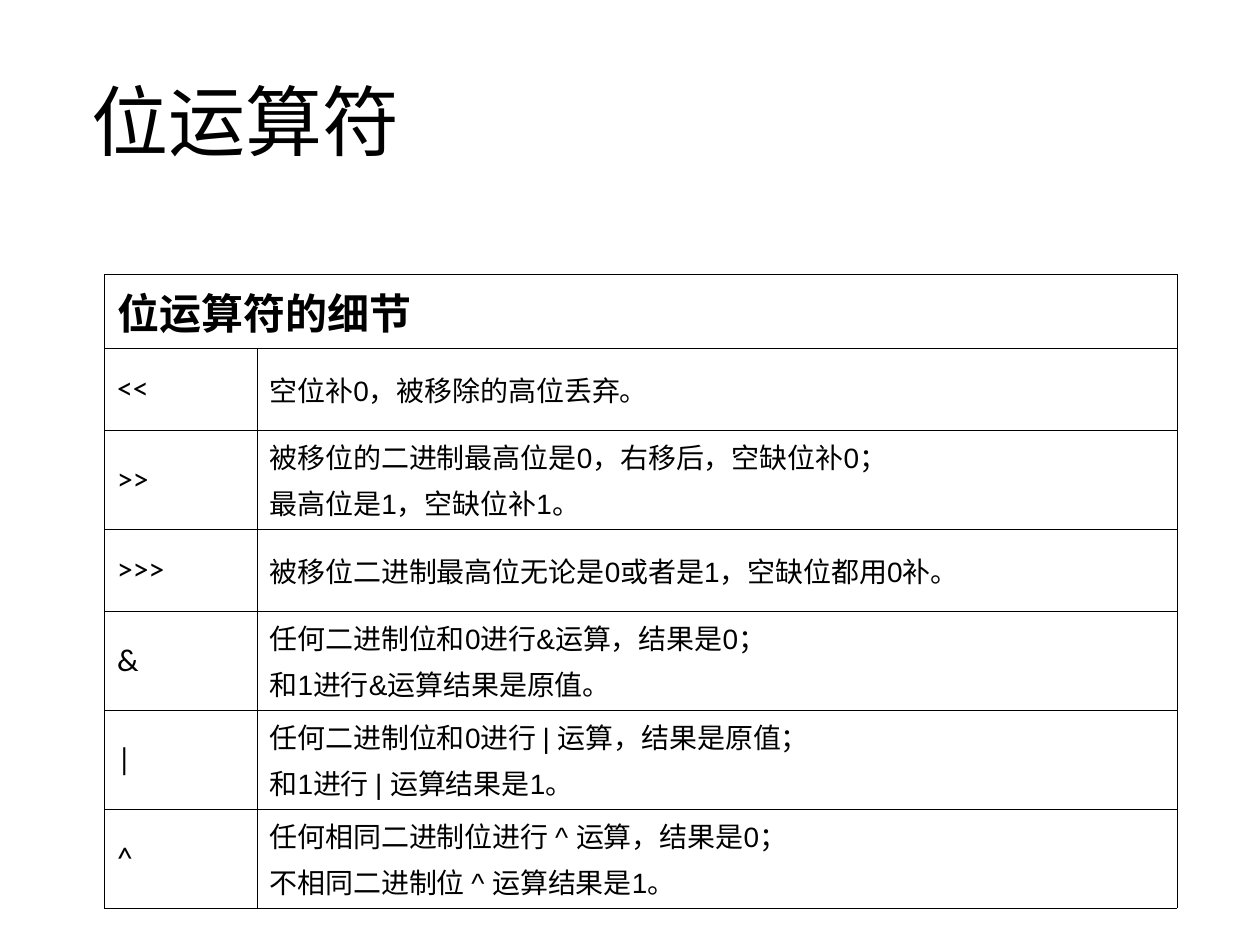
import pptx
import pptx.util
import pptx.dml.color
import pptx.enum.text
import pptx.oxml
import pptx.oxml.ns
from lxml import etree

Inches, Pt = pptx.util.Inches, pptx.util.Pt
RGB = pptx.dml.color.RGBColor.from_string
MID = pptx.enum.text.MSO_ANCHOR.MIDDLE
LEFT = pptx.enum.text.PP_ALIGN.LEFT


class Theme:
    ink, paper = RGB("000000"), RGB("FFFFFF")
    edge = 0.25
    gap = 0.2  # space before a paragraph, as a share of its type size
    title = {"name": "Calibri", "size": Pt(44), "bold": False}
    head = {"name": "Arial", "size": Pt(24), "bold": True}
    sign = {"name": "Calibri", "size": Pt(18), "bold": False}
    body = {"name": "Arial", "size": Pt(16), "bold": False}


class Deck:
    def __init__(self, theme):
        self.theme = theme
        self.prs = pptx.Presentation()
        self.prs.slide_width, self.prs.slide_height = Inches(10), Inches(7.5)
        self.slide = self.prs.slides.add_slide(self.prs.slide_layouts[5])

    def text(self, frame, words, style, **form):
        frame.text = words
        frame.word_wrap = True
        for para in frame.paragraphs:
            for key, val in {"alignment": LEFT, **form}.items():
                setattr(para, key, val)
            for run in para.runs:
                for key, val in style.items():
                    setattr(run.font, key, val)
                run.font.color.rgb = self.theme.ink

    def title(self, words, box):
        shape = self.slide.shapes.title
        for key, val in zip(("left", "top", "width", "height"), box):
            setattr(shape, key, Inches(val))
        shape.text_frame.vertical_anchor = MID
        self.text(shape.text_frame, words, self.theme.title, line_spacing=0.9)

    def border(self, cell):
        props = cell._tc.get_or_add_tcPr()
        for spot, side in enumerate(("lnL", "lnR", "lnT", "lnB")):
            line = etree.Element(pptx.oxml.ns.qn("a:" + side))
            line.set("w", str(int(Pt(self.theme.edge))))
            fill = etree.SubElement(line, pptx.oxml.ns.qn("a:solidFill"))
            tint = etree.SubElement(fill, pptx.oxml.ns.qn("a:srgbClr"))
            tint.set("val", str(self.theme.ink))
            props.insert(spot, line)

    def cell(self, cell, words, style):
        cell.vertical_anchor = MID
        cell.fill.solid()
        cell.fill.fore_color.rgb = self.theme.paper
        self.border(cell)
        space = Pt(style["size"].pt * self.theme.gap)
        self.text(cell.text_frame, words, style, space_before=space)

    def table(self, head, rows, spot, wide, high):
        area = [Inches(n) for n in (*spot, sum(wide), sum(high))]
        grid = self.slide.shapes.add_table(len(high), len(wide), *area).table
        grid.horz_banding = grid.first_row = False
        for col, size in zip(grid.columns, wide):
            col.width = Inches(size)
        for row, size in zip(grid.rows, high):
            row.height = Inches(size)
        grid.cell(0, 0).merge(grid.cell(0, len(wide) - 1))
        for r, row in enumerate([(head, ""), *rows]):
            looks = (self.theme.sign, self.theme.body) if r else (self.theme.head,) * 2
            for c, (words, look) in enumerate(zip(row, looks)):
                self.cell(grid.cell(r, c), words, look)


deck = Deck(Theme)

# Title
deck.title("位运算符", (0.63, 0.33, 8.75, 1.33))

# Operator table: two-line rows are taller
rules = [
    ("<<", "空位补0，被移除的高位丢弃。"),
    (">>", "被移位的二进制最高位是0，右移后，空缺位补0；\n最高位是1，空缺位补1。"),
    (">>>", "被移位二进制最高位无论是0或者是1，空缺位都用0补。"),
    ("&", "任何二进制位和0进行&运算，结果是0；\n和1进行&运算结果是原值。"),
    ("|", "任何二进制位和0进行 | 运算，结果是原值；\n和1进行 | 运算结果是1。"),
    ("^", "任何相同二进制位进行 ^ 运算，结果是0；\n不相同二进制位 ^ 运算结果是1。"),
]
high = [0.5] + [0.7 if "\n" in words else 0.65 for _, words in rules]
deck.table("位运算符的细节", rules, (0.83, 2.18), (1.21, 7.3), high)

deck.prs.save("out.pptx")
